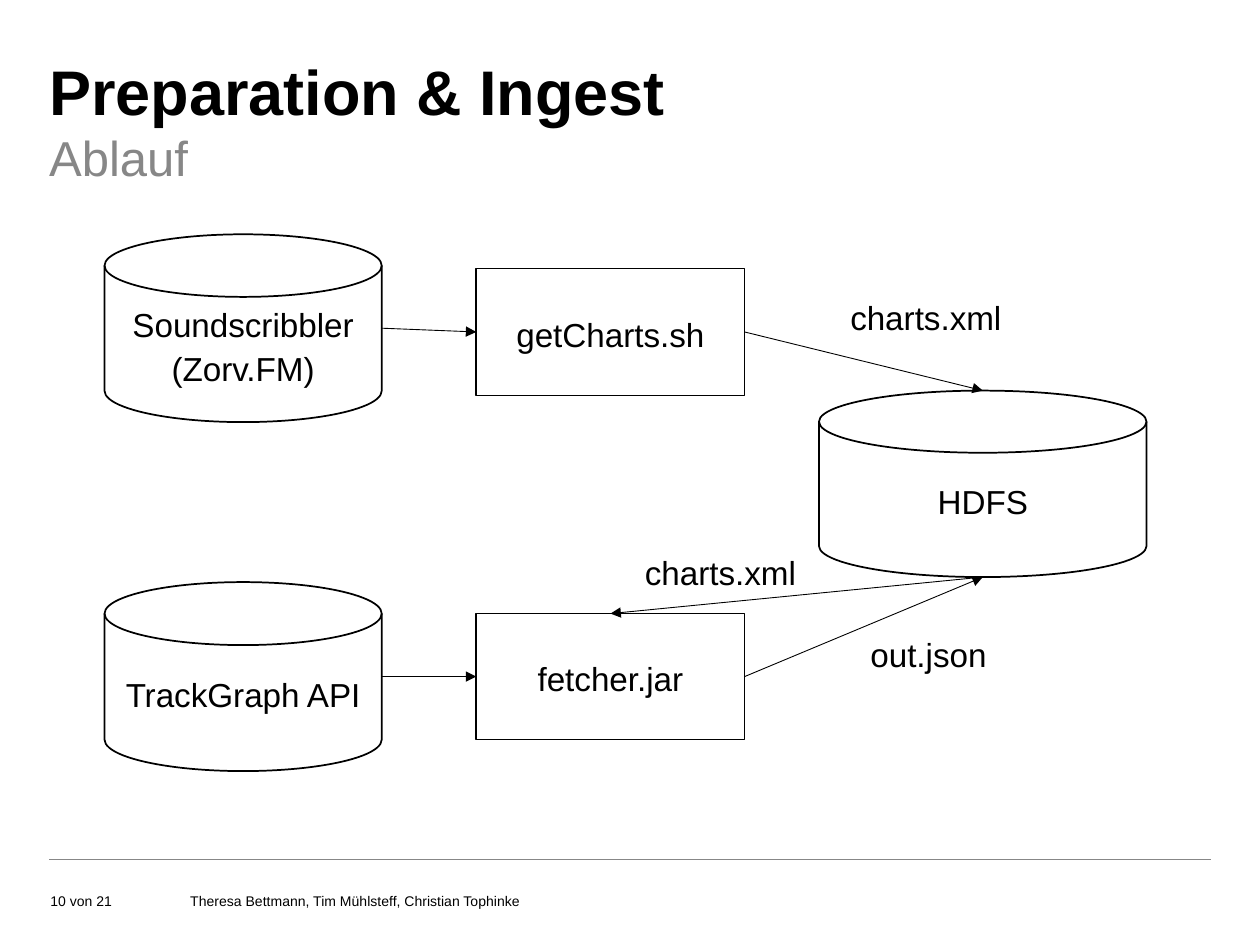
from dataclasses import dataclass
from enum import IntEnum

from lxml import etree
from pptx import Presentation
from pptx.dml.color import RGBColor
from pptx.enum import shapes, text
from pptx.oxml import ns
from pptx.util import Inches, Pt

BLACK = RGBColor(0x00, 0x00, 0x00)
WHITE = RGBColor(0xFF, 0xFF, 0xFF)
GRAY = RGBColor(0x87, 0x87, 0x87)
DISK = shapes.MSO_SHAPE.FLOWCHART_MAGNETIC_DISK
BOX = shapes.MSO_SHAPE.RECTANGLE
MIDDLE = text.MSO_ANCHOR.MIDDLE
BOTTOM = text.MSO_ANCHOR.BOTTOM


class Side(IntEnum):
    TOP = 0
    LEFT = 1
    BOTTOM = 2
    RIGHT = 3


@dataclass(frozen=True)
class Node:
    label: str
    kind: shapes.MSO_SHAPE
    left: float
    top: float
    width: float
    height: float

    def side_middle(self, side: Side) -> tuple[float, float]:
        across, down = {Side.TOP: (0.5, 0), Side.LEFT: (0, 0.5),
                        Side.BOTTOM: (0.5, 1), Side.RIGHT: (1, 0.5)}[side]
        return self.left + across * self.width, self.top + down * self.height


@dataclass(frozen=True)
class Flow:
    source: Node
    source_side: Side
    target: Node
    target_side: Side


@dataclass(frozen=True)
class Label:
    text: str
    left: float
    top: float
    width: float
    height: float


SCROBBLER = Node("Soundscribbler (Zorv.FM)", DISK, 0.83, 1.86, 2.2, 1.49)
MUSIC_API = Node("TrackGraph API", DISK, 0.83, 4.62, 2.2, 1.5)
HDFS = Node("HDFS", DISK, 6.5, 3.1, 2.6, 1.48)
GET_CHARTS = Node("getCharts.sh", BOX, 3.78, 2.13, 2.13, 1.01)
FETCHER = Node("fetcher.jar", BOX, 3.78, 4.87, 2.13, 1)
NODES = [SCROBBLER, MUSIC_API, HDFS, GET_CHARTS, FETCHER]

FLOWS = [
    Flow(SCROBBLER, Side.RIGHT, GET_CHARTS, Side.LEFT),
    Flow(GET_CHARTS, Side.RIGHT, HDFS, Side.TOP),
    Flow(MUSIC_API, Side.RIGHT, FETCHER, Side.LEFT),
    Flow(HDFS, Side.BOTTOM, FETCHER, Side.TOP),
    Flow(FETCHER, Side.RIGHT, HDFS, Side.BOTTOM),
]

FLOW_LABELS = [
    Label("charts.xml", 6.65, 2.28, 1.64, 0.45),
    Label("charts.xml", 5.02, 4.3, 1.64, 0.45),
    Label("out.json", 6.81, 4.95, 1.64, 0.45),
]
FOOTERS = [
    Label("10 von 21", 0.4, 6.9, 1.06, 0.32),
    Label("Theresa Bettmann, Tim Mühlsteff, Christian Tophinke", 1.51, 6.9, 7.43, 0.32),
]


def write(shape, words: str, size: float, color=BLACK, bold=False, spacing=1.0,
          align=text.PP_ALIGN.LEFT, anchor=text.MSO_ANCHOR.TOP, inset=True):
    frame = shape.text_frame
    frame.word_wrap = True
    frame.auto_size = text.MSO_AUTO_SIZE.NONE
    frame.vertical_anchor = anchor
    if not inset:
        frame.margin_left = frame.margin_right = 0
        frame.margin_top = frame.margin_bottom = 0
    frame.text = words
    paragraph = frame.paragraphs[0]
    paragraph.alignment = align
    paragraph.line_spacing = spacing
    paragraph.space_before = Pt(0)
    font = paragraph.font
    font.name, font.size, font.bold = "Arial", Pt(size), bold
    font.color.rgb = color
    return paragraph


def place(shape, left: float, top: float, width: float, height: float) -> None:
    shape.left, shape.top = Inches(left), Inches(top)
    shape.width, shape.height = Inches(width), Inches(height)


def add_heading(slide) -> None:
    title, subtitle = slide.shapes.title, slide.placeholders[1]
    place(title, 0.39, 0.41, 6.97, 0.62)
    write(title, "Preparation & Ingest", 36, bold=True, anchor=MIDDLE, inset=False)
    place(subtitle, 0.39, 0.95, 6.97, 0.55)
    paragraph = write(subtitle, "Ablauf", 28, GRAY, spacing=1.1, anchor=MIDDLE, inset=False)
    properties = paragraph._p.get_or_add_pPr()
    properties.set("marL", "0")
    properties.set("indent", "0")
    bullet = etree.Element(ns.qn("a:buNone"))
    properties.find(ns.qn("a:spcBef")).addnext(bullet)


def add_node(slide, node: Node):
    shape = slide.shapes.add_shape(node.kind, Inches(node.left), Inches(node.top),
                                   Inches(node.width), Inches(node.height))
    shape.shadow.inherit = False
    shape.fill.solid()
    shape.fill.fore_color.rgb = WHITE
    shape.line.color.rgb = BLACK
    shape.line.width = Pt(1)
    write(shape, node.label, 19, spacing=1.1, align=text.PP_ALIGN.CENTER, anchor=MIDDLE)
    return shape


def add_line(slide, start: tuple[float, float], end: tuple[float, float], color: RGBColor):
    line = slide.shapes.add_connector(shapes.MSO_CONNECTOR.STRAIGHT,
                                      *map(Inches, start), *map(Inches, end))
    line.line.color.rgb = color
    line.line.width = Pt(0.5)
    etree.SubElement(line._element.spPr, ns.qn("a:effectLst"))
    return line


def add_flow(slide, flow: Flow, drawn: dict) -> None:
    """Draw an arrow, joined to the nodes that are rectangles."""
    arrow = add_line(slide, flow.source.side_middle(flow.source_side),
                     flow.target.side_middle(flow.target_side), BLACK)
    if flow.source.kind == BOX:
        arrow.begin_connect(drawn[flow.source], int(flow.source_side))
    if flow.target.kind == BOX:
        arrow.end_connect(drawn[flow.target], int(flow.target_side))
    etree.SubElement(arrow.line._get_or_add_ln(), ns.qn("a:tailEnd"), type="triangle")


def add_label(slide, label: Label, size: float, **style) -> None:
    box = slide.shapes.add_textbox(Inches(label.left), Inches(label.top),
                                   Inches(label.width), Inches(label.height))
    write(box, label.text, size, **style)


def main() -> None:
    presentation = Presentation()
    presentation.slide_width, presentation.slide_height = Inches(10), Inches(7.5)
    slide = presentation.slides.add_slide(presentation.slide_layouts[1])
    add_heading(slide)
    drawn = {node: add_node(slide, node) for node in NODES}
    for flow in FLOWS:
        add_flow(slide, flow, drawn)
    for label in FLOW_LABELS:
        add_label(slide, label, 19, spacing=1.1)
    add_line(slide, (0.39, 6.82), (9.61, 6.82), GRAY)
    for footer in FOOTERS:
        add_label(slide, footer, 8, anchor=BOTTOM, inset=False)
    presentation.save("out.pptx")


if __name__ == "__main__":
    main()
